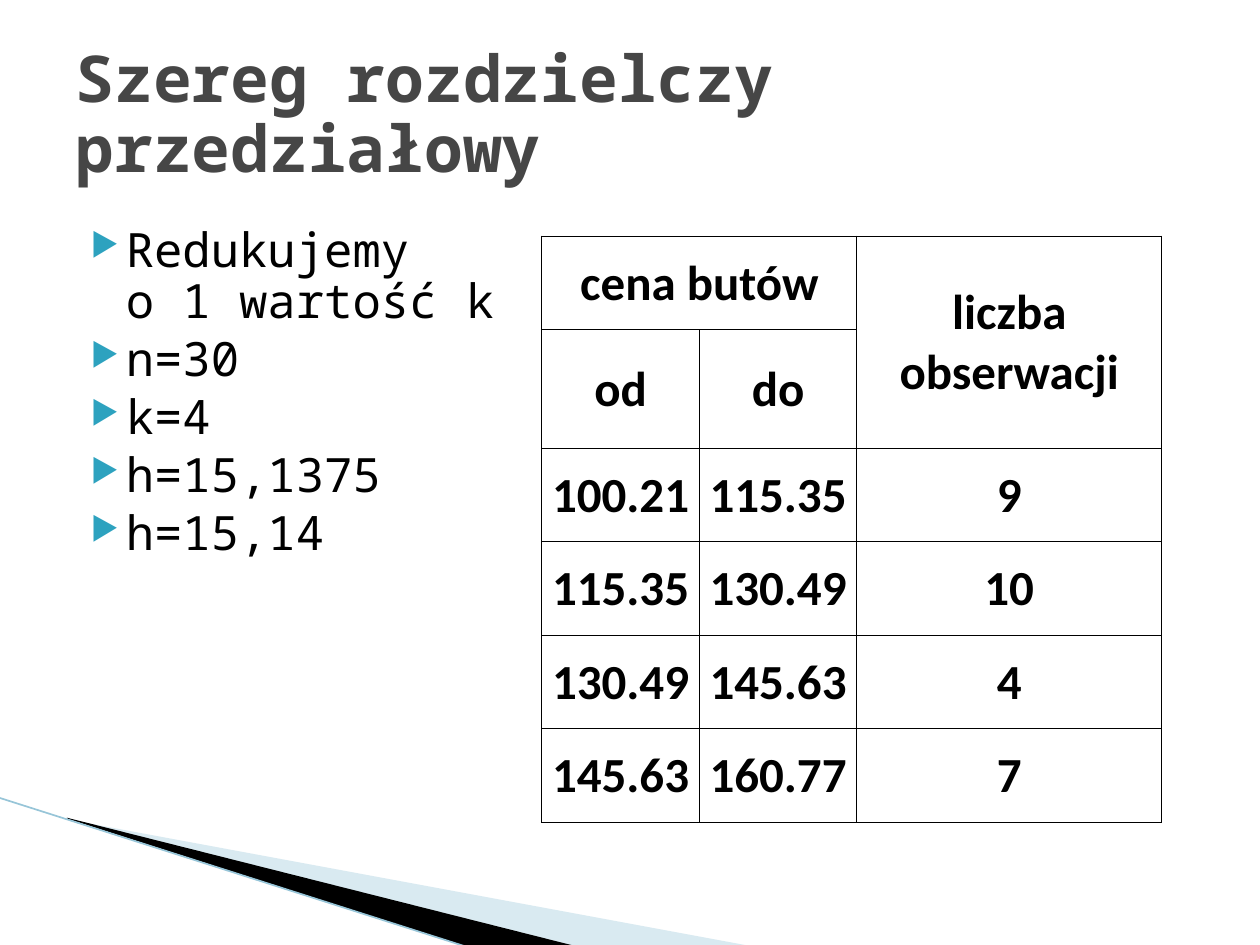
from dataclasses import dataclass

import lxml.etree
import pptx
import pptx.dml.color
import pptx.enum.shapes
import pptx.enum.text
import pptx.oxml.ns
import pptx.util

Pt = pptx.util.Pt
qn = pptx.oxml.ns.qn


@dataclass(frozen=True)
class Theme:
    mono: str = "Noto Sans Mono"
    table_font: str = "Calibri"
    title_color: str = "464646"
    ink: str = "000000"
    bullet: str = "2DA2BF"
    pale_wedge: str = "A0CBDC"
    edge: str = "97C5D8"
    title_size: float = 36.9
    body_size: float = 27
    table_size: float = 28


@dataclass(frozen=True)
class Wedge:
    points: list[tuple[float, float]]
    color: str
    opacity: int


THEME = Theme()
WEDGES = [
    Wedge([(39.6, 468.5), (428.4, 540.5), (328.3, 540.5), (39.6, 468)], THEME.pale_wedge, 40),
    Wedge([(38.2, 467.3), (329, 540.7), (267.8, 541.4), (38.9, 468)], THEME.ink, 100),
]
BULLETS = ["Redukujemy \vo 1 wartość k", "n=30", "k=4", "h=15,1375", "h=15,14"]
ROWS = [
    ["cena butów", "", "liczba obserwacji"],
    ["od", "do", ""],
    ["100.21", "115.35", "9"],
    ["115.35", "130.49", "10"],
    ["130.49", "145.63", "4"],
    ["145.63", "160.77", "7"],
]
COLUMN_WIDTHS = [90, 90, 174.24]
ROW_HEIGHT = 53.4


def rgb(color: str) -> pptx.dml.color.RGBColor:
    return pptx.dml.color.RGBColor.from_string(color)


def add_child(parent, tag: str, **attributes: str):
    return lxml.etree.SubElement(parent, qn(tag), attributes)


def format_runs(para, font: str, size: float, color: str, bold: bool = False) -> None:
    for span in para.runs:
        span.font.name = font
        span.font.size = Pt(size)
        span.font.bold = bold
        span.font.color.rgb = rgb(color)


def draw_wedge(page, wedge: Wedge) -> None:
    points = [(Pt(x), Pt(y)) for x, y in wedge.points]
    builder = page.shapes.build_freeform(*points[0])
    builder.add_line_segments(points[1:])
    shape = builder.convert_to_shape()
    shape.shadow.inherit = False
    shape.line.fill.background()
    shape.fill.solid()
    shape.fill.fore_color.rgb = rgb(wedge.color)
    if wedge.opacity < 100:
        color = shape.fill._xPr.find(".//" + qn("a:srgbClr"))
        add_child(color, "a:alpha", val=str(wedge.opacity * 1000))


def draw_edge(page) -> None:
    edge = page.shapes.add_connector(
        pptx.enum.shapes.MSO_CONNECTOR.STRAIGHT, Pt(-0.7), Pt(455.8), Pt(267.8), Pt(541.4))
    edge.line.color.rgb = rgb(THEME.edge)
    edge.line.width = Pt(0.95)
    add_child(edge._element.spPr, "a:effectLst")


def set_title(page, text: str) -> None:
    title = page.shapes.title
    title.left, title.top, title.width, title.height = Pt(36), Pt(21.6), Pt(648), Pt(90)
    frame = title.text_frame
    frame.text = text
    frame.word_wrap = True
    frame.auto_size = pptx.enum.text.MSO_AUTO_SIZE.NONE
    frame.vertical_anchor = pptx.enum.text.MSO_ANCHOR.MIDDLE
    para = frame.paragraphs[0]
    para.alignment = pptx.enum.text.PP_ALIGN.LEFT
    para.line_spacing = 0.9
    format_runs(para, THEME.mono, THEME.title_size, THEME.title_color, bold=True)


def draw_bullets(page, lines: list[str]) -> None:
    box = page.shapes.add_textbox(Pt(36), Pt(126), Pt(295.9), Pt(357.8))
    frame = box.text_frame
    frame.word_wrap = True
    for index, line in enumerate(lines):
        para = frame.paragraphs[0] if index == 0 else frame.add_paragraph()
        para.text = line
        para.line_spacing = 0.9
        para.space_before = Pt(4)
        format_runs(para, THEME.mono, THEME.body_size, THEME.ink)
        properties = para._p.get_or_add_pPr()
        properties.set("marL", str(Pt(28.8)))
        properties.set("indent", str(Pt(-20.16)))
        add_child(add_child(properties, "a:buClr"), "a:srgbClr", val=THEME.bullet)
        add_child(properties, "a:buSzPct", val="68000")
        add_child(properties, "a:buChar", char="▶")


def format_cell(cell, text: str) -> None:
    cell.text = text
    cell.margin_left = cell.margin_right = cell.margin_top = Pt(0.72)
    cell.margin_bottom = Pt(0)
    cell.vertical_anchor = pptx.enum.text.MSO_ANCHOR.MIDDLE
    para = cell.text_frame.paragraphs[0]
    para.alignment = pptx.enum.text.PP_ALIGN.CENTER
    format_runs(para, THEME.table_font, THEME.table_size, THEME.ink, bold=True)
    # Borders come before the fill in the cell properties
    properties = cell._tc.get_or_add_tcPr()
    for side in ("a:lnL", "a:lnR", "a:lnT", "a:lnB"):
        border = add_child(properties, side, w=str(Pt(0.5)))
        add_child(add_child(border, "a:solidFill"), "a:srgbClr", val=THEME.ink)
    cell.fill.background()


def draw_table(page, rows: list[list[str]]) -> None:
    table = page.shapes.add_table(
        len(rows), len(COLUMN_WIDTHS), Pt(309.6), Pt(134.9),
        Pt(sum(COLUMN_WIDTHS)), Pt(ROW_HEIGHT * len(rows))).table
    table.first_row = table.horz_banding = False
    for column, width in zip(table.columns, COLUMN_WIDTHS):
        column.width = Pt(width)
    for row_index, row in enumerate(rows):
        table.rows[row_index].height = Pt(ROW_HEIGHT)
        for column_index, text in enumerate(row):
            format_cell(table.cell(row_index, column_index), text)
    table.cell(0, 0).merge(table.cell(0, 1))
    table.cell(0, 2).merge(table.cell(1, 2))


def main() -> None:
    deck = pptx.Presentation()
    deck.slide_width, deck.slide_height = Pt(720), Pt(540)
    page = deck.slides.add_slide(deck.slide_layouts.get_by_name("Title Only"))

    # Corner decoration
    for wedge in WEDGES:
        draw_wedge(page, wedge)
    draw_edge(page)

    # Content
    set_title(page, "Szereg rozdzielczy przedziałowy")
    draw_bullets(page, BULLETS)
    draw_table(page, ROWS)
    deck.save("out.pptx")


if __name__ == "__main__":
    main()
